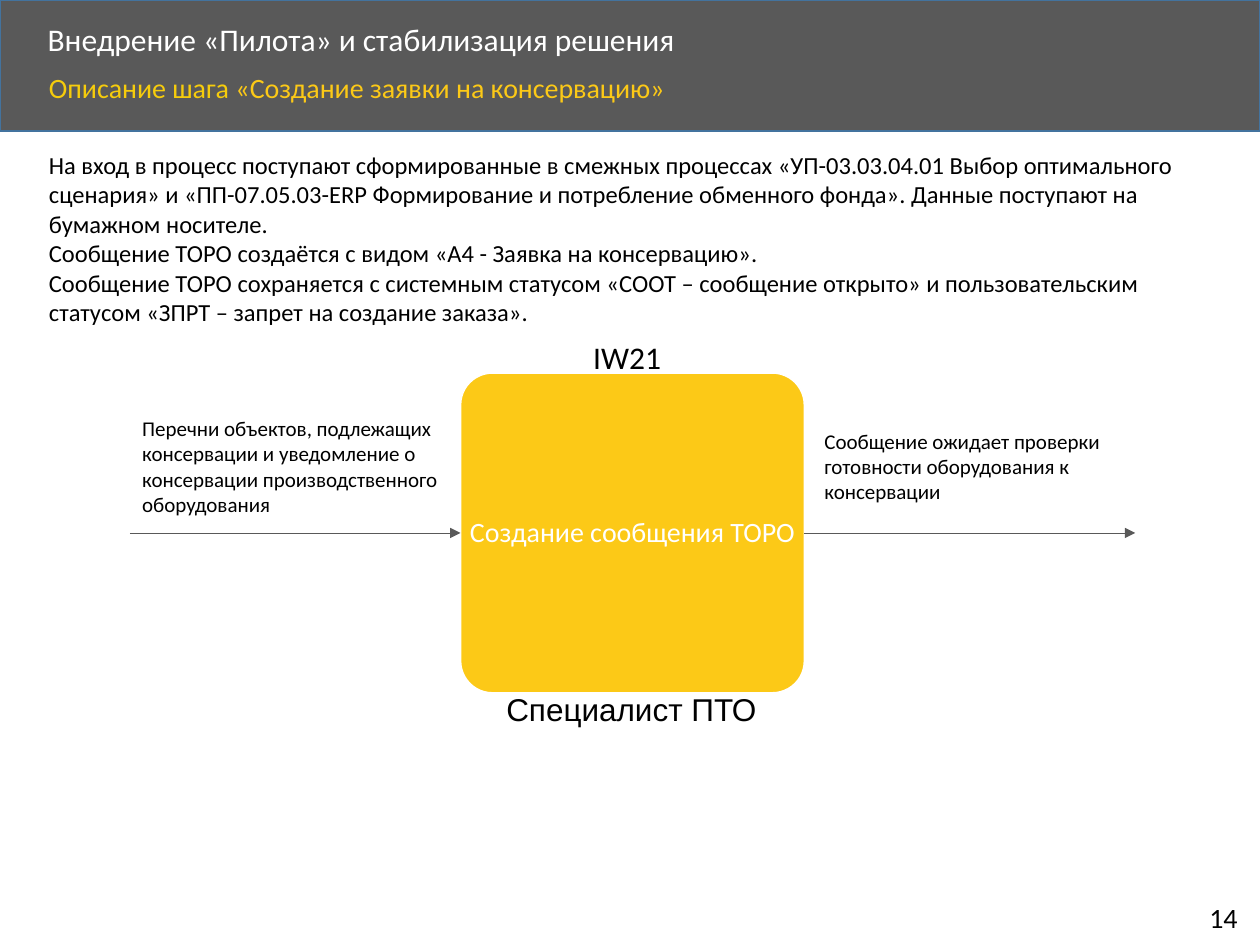
import pptx
import pptx.dml.color
import pptx.enum.shapes
import pptx.enum.text
import pptx.oxml
import pptx.oxml.ns
import pptx.util
from pptx.util import Inches

RGBColor = pptx.dml.color.RGBColor
Anchor = pptx.enum.text.MSO_ANCHOR
Align = pptx.enum.text.PP_ALIGN
Preset = pptx.enum.shapes.MSO_SHAPE

WHITE = RGBColor(0xFF, 0xFF, 0xFF)
BLACK = RGBColor(0x00, 0x00, 0x00)
GRAY = RGBColor(0x59, 0x59, 0x59)
BLUE = RGBColor(0x43, 0x73, 0x9E)
YELLOW = RGBColor(0xFC, 0xC9, 0x17)
SUBTITLE_YELLOW = RGBColor(0xF6, 0xCC, 0x0C)

DESCRIPTION = [
    "На вход в процесс поступают сформированные в смежных процессах "
    "«УП-03.03.04.01 Выбор оптимального сценария» и «ПП-07.05.03-ERP "
    "Формирование и потребление обменного фонда». Данные поступают на "
    "бумажном носителе.",
    "Сообщение ТОРО создаётся с видом «A4 - Заявка на консервацию».",
    "Сообщение ТОРО сохраняется с системным статусом «СООТ – сообщение "
    "открыто» и пользовательским статусом «ЗПРТ – запрет на создание заказа».",
]
INPUT = ("Перечни объектов, подлежащих консервации и уведомление о "
         "консервации производственного оборудования")
OUTPUT = "Сообщение ожидает проверки готовности оборудования к консервации"


def add_text(slide, box, paragraphs, size, color=BLACK, font="Calibri",
             wrap=True, anchor=Anchor.TOP, align=None, spacing=None):
    label = slide.shapes.add_textbox(*map(Inches, box))
    frame = label.text_frame
    frame.word_wrap = wrap
    frame.vertical_anchor = anchor
    frame.text = "\n".join(paragraphs)
    for paragraph in frame.paragraphs:
        paragraph.font.name = font
        paragraph.font.size = pptx.util.Pt(size)
        paragraph.font.color.rgb = color
        paragraph.alignment = align
        paragraph.line_spacing = spacing
    return frame


def add_panel(slide, preset, box, fill, line):
    panel = slide.shapes.add_shape(preset, *map(Inches, box))
    panel.shadow.inherit = False
    panel.fill.solid()
    panel.fill.fore_color.rgb = fill
    panel.line.color.rgb = line
    panel.line.width = pptx.util.Pt(1)
    return panel


def add_arrow(slide, start_x, end_x, y):
    arrow = slide.shapes.add_connector(
        pptx.enum.shapes.MSO_CONNECTOR.STRAIGHT,
        Inches(start_x), Inches(y), Inches(end_x), Inches(y))
    arrow.line.color.rgb = GRAY
    arrow.line.width = pptx.util.Pt(0.5)
    head = pptx.oxml.parse_xml(
        f'<a:tailEnd {pptx.oxml.ns.nsdecls("a")} type="triangle"/>')
    arrow.line._get_or_add_ln().append(head)
    arrow._element.spPr.append(pptx.oxml.parse_xml(
        f'<a:effectLst {pptx.oxml.ns.nsdecls("a")}/>'))
    return arrow


def add_header(slide, left, top, width, height):
    add_panel(slide, Preset.RECTANGLE, (left, top, width, height), GRAY, BLUE)
    add_text(slide, (left + 0.28, top + 0.14, 8.07, 0.38),
             ["Внедрение «Пилота» и стабилизация решения"], 18, WHITE,
             anchor=Anchor.MIDDLE, spacing=0.9)
    subtitle = add_text(slide, (left + 0.29, top + 0.54, 8.65, 0.45),
                        ["Описание шага "], 16, SUBTITLE_YELLOW, spacing=0.9)
    step = subtitle.paragraphs[0].add_run()
    step.text = "«Создание заявки на консервацию»"
    step.font.color.rgb = YELLOW


def add_process(slide, left, top, width, height):
    step_width, step_height = 2.73, 2.54
    step_left = left + (width - step_width) / 2
    step_right = step_left + step_width
    step_top = top + 0.33
    middle = step_top + step_height / 2

    step = add_panel(slide, Preset.ROUNDED_RECTANGLE,
                     (step_left, step_top, step_width, step_height),
                     YELLOW, WHITE)
    step.adjustments[0] = 0.1
    caption = add_text(slide, (step_left + 0.06, step_top + 0.08, 2.61, 2.39),
                       ["Создание сообщения ТОРО"], 16, WHITE,
                       anchor=Anchor.MIDDLE, align=Align.CENTER, spacing=0.9)
    caption.margin_left = caption.margin_right = Inches(0.01)
    caption.margin_top = caption.margin_bottom = Inches(0.01)

    add_text(slide, (left + 3.58, top, 0.75, 0.4), ["IW21"], 18, wrap=False)
    add_text(slide, (left + 2.89, top + height - 0.4, 2.2, 0.4),
             ["Специалист ПТО"], 18, font="Arial")
    add_text(slide, (left, top + 0.62, 2.56, 0.91), [INPUT], 12)
    add_text(slide, (step_right + 0.06, top + 0.72, 2.57, 0.71), [OUTPUT], 12)

    add_arrow(slide, left, step_left, middle).end_connect(step, 1)
    add_arrow(slide, step_right, left + width, middle).begin_connect(step, 3)


def main():
    presentation = pptx.Presentation()
    presentation.slide_width = Inches(10)
    presentation.slide_height = Inches(7.5)
    slide = presentation.slides.add_slide(presentation.slide_layouts[6])
    add_header(slide, 0, 0, 10, 1.04)
    add_text(slide, (0.29, 1.14, 9.46, 1.51), DESCRIPTION, 14)
    add_process(slide, 1.03, 2.63, 7.98, 3.2)
    add_text(slide, (9.5, 7.1, 0.46, 0.37), ["14"], 16, wrap=False)
    presentation.save("out.pptx")


if __name__ == "__main__":
    main()
